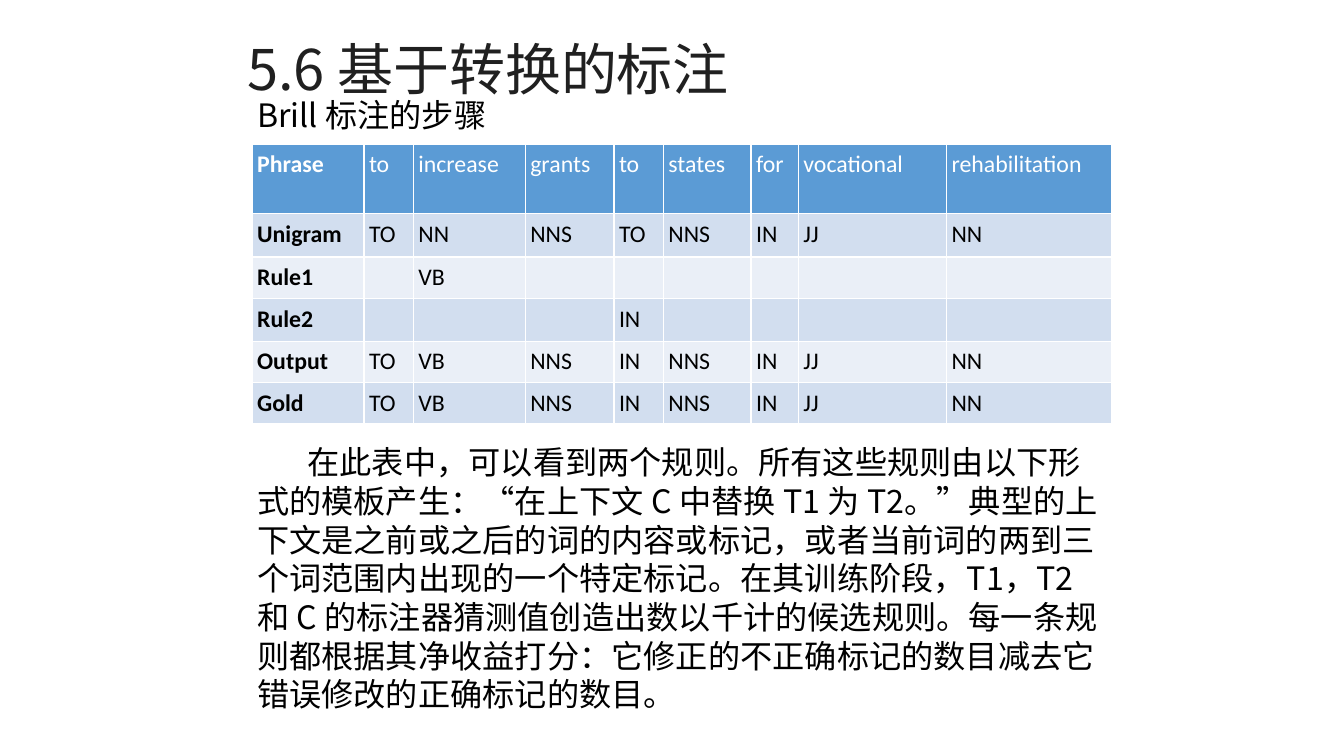
import pptx
import pptx.dml.color
import pptx.enum.text
import pptx.oxml
import pptx.oxml.ns
import pptx.util
from pptx.util import Inches

CJK_FONT = "Noto Sans CJK SC"
TABLE_FONT = "Calibri"
WHITE, BLACK, TITLE_GREY = "FFFFFF", "000000", "202020"
HEADER_BLUE, BAND_DARK, BAND_LIGHT = "5B9BD5", "D2DEEF", "EAEFF7"

TITLE = "5.6 基于转换的标注"
SUBTITLE = "Brill 标注的步骤"
EXPLANATION = (
    "在此表中，可以看到两个规则。所有这些规则由以下形式的模板产生："
    "“在上下文 C 中替换 T1 为 T2。”典型的上下文是之前或之后的词的内容或标记，"
    "或者当前词的两到三个词范围内出现的一个特定标记。在其训练阶段，"
    "T1，T2 和 C 的标注器猜测值创造出数以千计的候选规则。"
    "每一条规则都根据其净收益打分：它修正的不正确标记的数目"
    "减去它错误修改的正确标记的数目。"
)
TAG_ROWS = [
    ["Phrase", "to", "increase", "grants", "to", "states", "for", "vocational", "rehabilitation"],
    ["Unigram", "TO", "NN", "NNS", "TO", "NNS", "IN", "JJ", "NN"],
    ["Rule1", "", "VB", "", "", "", "", "", ""],
    ["Rule2", "", "", "", "IN", "", "", "", ""],
    ["Output", "TO", "VB", "NNS", "IN", "NNS", "IN", "JJ", "NN"],
    ["Gold", "TO", "VB", "NNS", "IN", "NNS", "IN", "JJ", "NN"],
]
COLUMN_WIDTHS = [1.11, 0.49, 1.11, 0.88, 0.49, 0.87, 0.47, 1.47, 1.64]
ROW_HEIGHTS = [0.69, 0.43, 0.41, 0.42, 0.41, 0.41]


def rgb(hex_color):
    """Turn a hex string into a colour."""
    return pptx.dml.color.RGBColor.from_string(hex_color)


def format_runs(paragraph, size, font_name, color, bold=False):
    """Format every run of a paragraph, East Asian font included."""
    for run in paragraph.runs:
        font = run.font
        font.size, font.name, font.bold = pptx.util.Pt(size), font_name, bold
        font.color.rgb = rgb(color)
        east_asian = pptx.oxml.parse_xml(
            f'<a:ea {pptx.oxml.ns.nsdecls("a")} typeface="{font_name}"/>')
        run.font._element.find(pptx.oxml.ns.qn("a:latin")).addnext(east_asian)


def place(placeholder, left, top, width, height):
    """Move and size a placeholder and fix its text behaviour."""
    placeholder.left, placeholder.top = Inches(left), Inches(top)
    placeholder.width, placeholder.height = Inches(width), Inches(height)
    placeholder.text_frame.word_wrap = True
    placeholder.text_frame.auto_size = pptx.enum.text.MSO_AUTO_SIZE.NONE


def format_paragraph(paragraph, line_spacing, space_before=0, first_indent=0):
    """Left-align a paragraph without bullet and set its spacing."""
    paragraph.alignment = pptx.enum.text.PP_ALIGN.LEFT
    paragraph.line_spacing = line_spacing
    paragraph.space_before = pptx.util.Pt(space_before)
    properties = paragraph._p.get_or_add_pPr()
    properties.set("marL", "0")
    properties.set("indent", str(Inches(first_indent)))
    properties.append(pptx.oxml.parse_xml(f'<a:buNone {pptx.oxml.ns.nsdecls("a")}/>'))


def write_title(title):
    """Fill the title placeholder."""
    place(title, 2.35, 0.19, 8.62, 0.88)
    title.text_frame.text = TITLE
    title.text_frame.vertical_anchor = pptx.enum.text.MSO_ANCHOR.BOTTOM
    heading = title.text_frame.paragraphs[0]
    format_paragraph(heading, 0.9)
    format_runs(heading, 40, CJK_FONT, TITLE_GREY)


def write_body(body):
    """Write the subtitle and the explanation, leaving room for the table."""
    place(body, 2.45, 0.95, 8.62, 6.44)
    body.fill.solid()
    body.fill.fore_color.rgb = rgb(WHITE)
    body.text_frame.vertical_anchor = pptx.enum.text.MSO_ANCHOR.TOP
    subtitle = body.text_frame.paragraphs[0]
    subtitle.text = SUBTITLE
    explanation = body.text_frame.add_paragraph()
    explanation.text = EXPLANATION
    format_paragraph(subtitle, 0.88)
    format_paragraph(explanation, 1.0, space_before=220, first_indent=0.5)
    for paragraph in (subtitle, explanation):
        format_runs(paragraph, 23, CJK_FONT, BLACK)


def add_borders(cell):
    """Give a cell thin white borders."""
    properties = cell._tc.get_or_add_tcPr()
    for side in "LRTB":
        properties.append(pptx.oxml.parse_xml(
            f'<a:ln{side} {pptx.oxml.ns.nsdecls("a")} w="{pptx.util.Pt(1)}">'
            f'<a:solidFill><a:srgbClr val="{WHITE}"/></a:solidFill></a:ln{side}>'))


def format_cell(cell, text, fill, color, bold):
    """Write one table cell."""
    cell.margin_left = cell.margin_right = cell.margin_bottom = Inches(0.05)
    cell.margin_top = Inches(0.06)
    add_borders(cell)
    cell.fill.solid()
    cell.fill.fore_color.rgb = rgb(fill)
    cell.text_frame.text = text
    format_runs(cell.text_frame.paragraphs[0], 17, TABLE_FONT, color, bold)


def add_tag_table(slide):
    """Add the table of tags after each step."""
    tags = slide.shapes.add_table(
        len(TAG_ROWS), len(COLUMN_WIDTHS), Inches(2.5), Inches(1.43),
        Inches(sum(COLUMN_WIDTHS)), Inches(sum(ROW_HEIGHTS))).table
    for column, width in zip(tags.columns, COLUMN_WIDTHS):
        column.width = Inches(width)
    for row, height in zip(tags.rows, ROW_HEIGHTS):
        row.height = Inches(height)
    for r, words in enumerate(TAG_ROWS):
        header = r == 0
        fill = HEADER_BLUE if header else BAND_DARK if r % 2 else BAND_LIGHT
        for c, word in enumerate(words):
            format_cell(tags.cell(r, c), word, fill, WHITE if header else BLACK, bold=c == 0)


def main():
    """Build the slide and save it."""
    presentation = pptx.Presentation()
    presentation.slide_width, presentation.slide_height = Inches(13.33), Inches(7.5)
    slide = presentation.slides.add_slide(presentation.slide_layouts[1])
    write_title(slide.shapes.title)
    write_body(slide.placeholders[1])
    add_tag_table(slide)
    presentation.save("out.pptx")


main()
